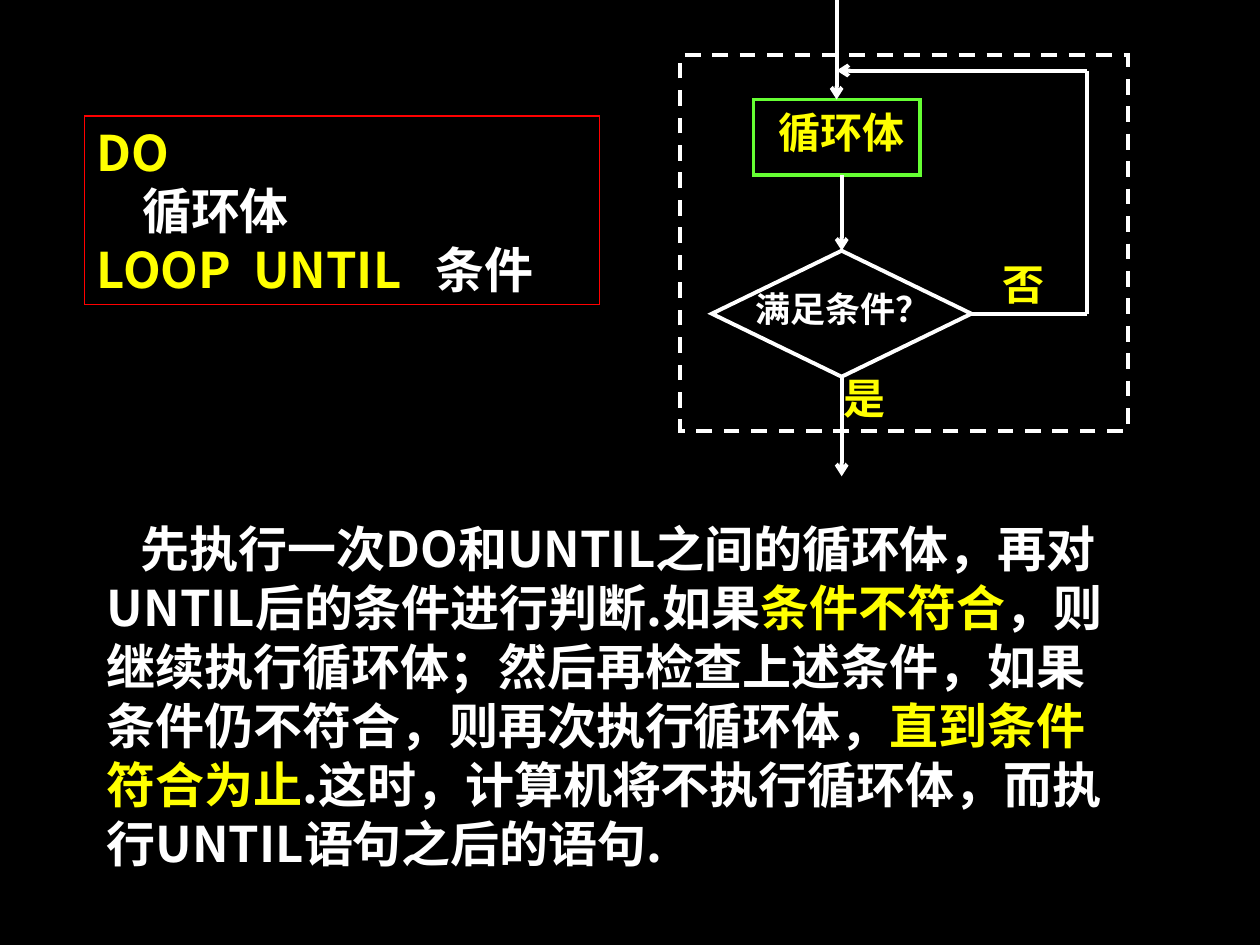
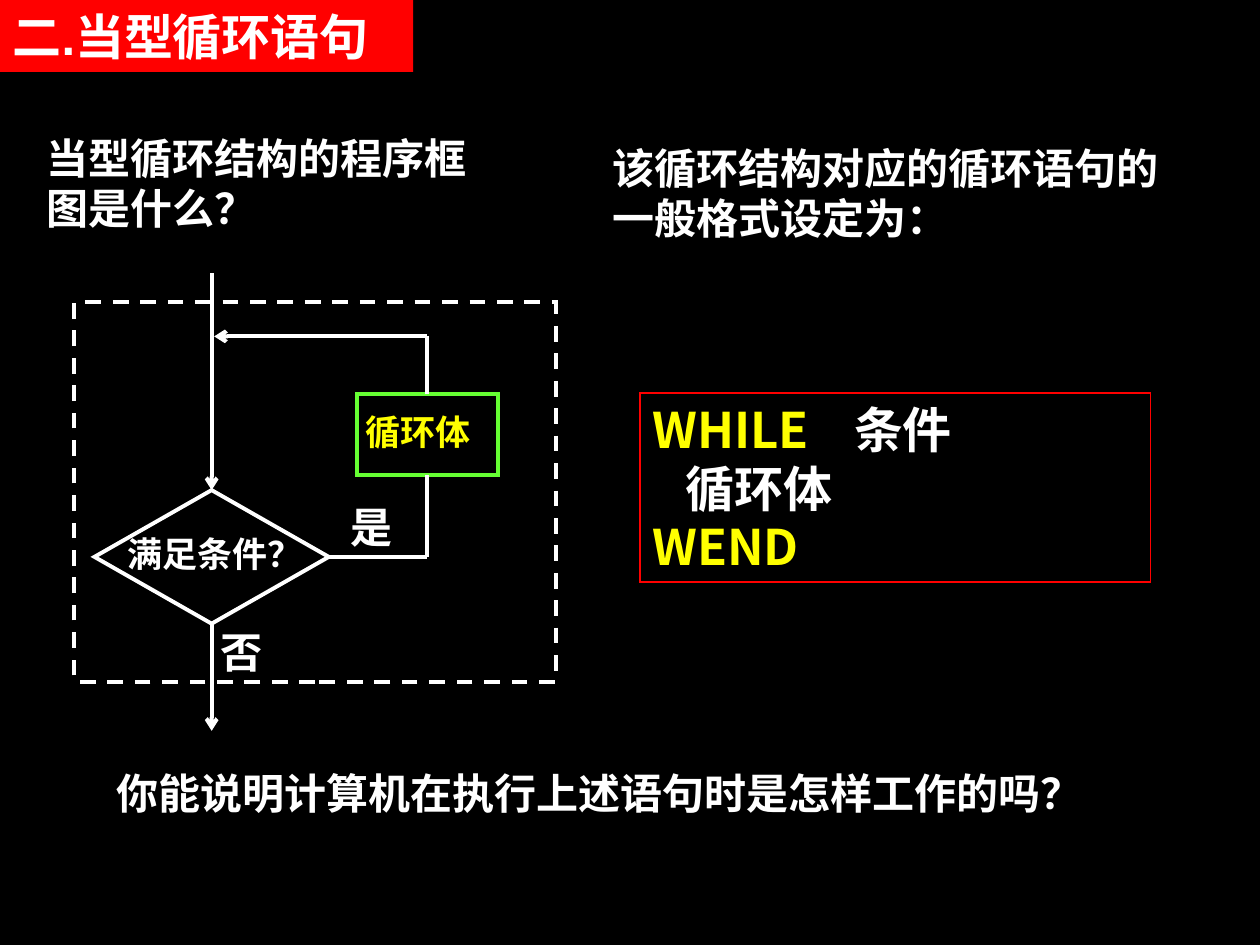
from dataclasses import dataclass

from lxml import etree
from pptx import Presentation
from pptx.dml.color import RGBColor
from pptx.enum.dml import MSO_LINE
from pptx.enum.shapes import MSO_CONNECTOR, MSO_SHAPE
from pptx.enum.text import MSO_ANCHOR, MSO_AUTO_SIZE, PP_ALIGN
from pptx.oxml.ns import qn
from pptx.util import Pt

RECT, DIAMOND = MSO_SHAPE.RECTANGLE, MSO_SHAPE.DIAMOND
STRAIGHT, DASH = MSO_CONNECTOR.STRAIGHT, MSO_LINE.DASH
TOP, NOFIT = MSO_ANCHOR.TOP, MSO_AUTO_SIZE.NONE
LEFT, JUST = PP_ALIGN.LEFT, PP_ALIGN.JUSTIFY
N, S, E = 0, 2, 3  # connection sites
SCALE = 9144  # EMU per px, 100 px to the inch


@dataclass(frozen=True)
class Theme:
    back: str = "000000"
    white: str = "FFFFFF"
    yellow: str = "FFFF00"
    red: str = "FF0000"
    green: str = "66FF33"
    cjk: str = "Noto Sans CJK SC"
    sans: str = "Arial"
    serif: str = "Times New Roman"
    big: int = 28
    mid: int = 24
    small: int = 20
    thin: float = 0.75
    thick: float = 2.25


T = Theme()
Area = tuple[int, int, int, int]
Run = tuple[str, str]  # text, colour


@dataclass(frozen=True)
class Para:
    runs: tuple[Run, ...]
    indent: int = 0
    tabs: tuple[int, ...] = ()


@dataclass(frozen=True)
class Text:
    area: Area
    paras: tuple[Para, ...]
    size: int = T.mid
    face: str = T.cjk
    align: PP_ALIGN = LEFT


@dataclass(frozen=True)
class Node:
    name: str
    area: Area
    color: str = T.white
    kind: MSO_SHAPE = RECT
    width: float = T.thick
    dash: bool = False


@dataclass(frozen=True)
class Wire:
    start: tuple[int, int]
    end: tuple[int, int]
    arrow: bool = False
    tail: tuple[str, int] | None = None  # node and site at the start
    head: tuple[str, int] | None = None  # node and site at the end


def px(n: int) -> int:
    return n * SCALE


def rgb(color: str) -> RGBColor:
    return RGBColor.from_string(color)


def apply(obj, form: dict) -> None:
    for key, value in form.items():
        setattr(obj, key, value)


def line(text: str, color: str = T.white, indent: int = 0) -> Para:
    return Para(((text, color),), indent)


def label(area: Area, text: str, color: str, size: int = T.mid) -> Text:
    return Text(area, (line(text, color),), size, T.serif, JUST)


def write(frame, text: Text) -> None:
    apply(frame, {
        "word_wrap": True, "auto_size": NOFIT, "vertical_anchor": TOP,
        "margin_left": px(10), "margin_right": px(10),
        "margin_top": px(5), "margin_bottom": px(5),
    })
    for i, item in enumerate(text.paras):
        para = frame.add_paragraph() if i else frame.paragraphs[0]
        para.alignment = text.align
        props = para._p.get_or_add_pPr()
        props.set("hangingPunct", "0")  # keep punctuation inside the box
        if item.indent:
            props.set("indent", str(px(item.indent)))
        if item.tabs:
            stops = etree.SubElement(props, qn("a:tabLst"))
            for pos in item.tabs:
                etree.SubElement(stops, qn("a:tab"), pos=str(px(pos)), algn="l")
        for words, color in item.runs:
            run = para.add_run()
            run.text = words
            apply(run.font, {"name": text.face, "size": Pt(text.size), "bold": True})
            run.font.color.rgb = rgb(color)
            etree.SubElement(run._r.get_or_add_rPr(), qn("a:ea"), typeface=T.cjk)


def add_text(slide, text: Text) -> None:
    write(slide.shapes.add_textbox(*map(px, text.area)).text_frame, text)


def add_title(slide, text: Text) -> None:
    title = slide.shapes.title
    apply(title, dict(zip(("left", "top", "width", "height"), map(px, text.area))))
    title.fill.solid()
    title.fill.fore_color.rgb = rgb(T.red)
    write(title.text_frame, text)


def add_node(slide, node: Node):
    shape = slide.shapes.add_shape(node.kind, *map(px, node.area))
    shape.shadow.inherit = False
    shape.fill.background()
    shape.line.color.rgb = rgb(node.color)
    shape.line.width = Pt(node.width)
    if node.dash:
        shape.line.dash_style = DASH
    # Sharp corners
    etree.SubElement(shape.line._get_or_add_ln(), qn("a:miter"), lim="800000")
    return shape


def add_wire(slide, wire: Wire, nodes: dict) -> None:
    link = slide.shapes.add_connector(STRAIGHT, *map(px, wire.start + wire.end))
    link.line.color.rgb = rgb(T.white)
    link.line.width = Pt(T.thick)
    if wire.arrow:
        etree.SubElement(link.line._get_or_add_ln(), qn("a:tailEnd"), type="arrow")
    etree.SubElement(link._element.spPr, qn("a:effectLst"))
    for end, join in ((wire.tail, link.begin_connect), (wire.head, link.end_connect)):
        if end:
            join(nodes[end[0]], end[1])


def add_code(slide, area: Area, paras: tuple[Para, ...]) -> None:
    shape = add_node(slide, Node("code", area, T.red, width=T.thin))
    write(shape.text_frame, Text(area, paras, T.big))


def add_flow(slide, nodes: list[Node], wires: list[Wire], labels: list[Text]) -> None:
    made = {node.name: add_node(slide, node) for node in nodes}
    for wire in wires:
        add_wire(slide, wire, made)
    for text in labels:
        add_text(slide, text)


def until_slide(slide) -> None:
    # Explanation
    add_text(slide, Text((75, 407, 827, 290), (Para((
        ("先执行一次DO和UNTIL之间的循环体，再对UNTIL后的条件进行判断.如果", T.white),
        ("条件不符合", T.yellow),
        ("，则继续执行循环体；然后再检查上述条件，如果条件仍不符合，则再次执行循环体，", T.white),
        ("直到条件符合为止", T.yellow),
        (".这时，计算机将不执行循环体，而执行UNTIL语句之后的语句.", T.white),
    ), indent=27),), T.big))
    # Statement format
    add_code(slide, (67, 92, 409, 150), (
        line("DO", T.yellow),
        line("循环体", indent=36),
        Para((("LOOP\tUNTIL\t", T.yellow), ("条件", T.white)), tabs=(124, 269)),
    ))
    # Flow chart
    add_flow(slide, [
        Node("test", (565, 199, 206, 100), kind=DIAMOND),
        Node("body", (598, 79, 132, 60), T.green),
        Node("frame", (540, 44, 355, 298), dash=True),
    ], [
        Wire((664, 0), (664, 79), True, head=("body", N)),
        Wire((668, 139), (668, 199), True, head=("test", N)),
        Wire((668, 299), (668, 378), True, tail=("test", S)),
        Wire((771, 249), (863, 249), tail=("test", E)),
        Wire((863, 249), (863, 56)),
        Wire((863, 56), (664, 56), True),
    ], [
        label((590, 223, 168, 60), "满足条件？", T.white, T.small),
        label((608, 80, 137, 60), "循环体", T.yellow),
        label((660, 291, 56, 60), "是", T.yellow),
        label((786, 200, 56, 60), "否", T.yellow),
    ])


def while_slide(slide) -> None:
    # Heading and questions
    add_title(slide, Text((0, 0, 328, 57), (line("二.当型循环语句"),), T.big, T.sans))
    add_text(slide, Text((27, 100, 386, 90), (line("当型循环结构的程序框图是什么？"),)))
    add_text(slide, Text((476, 108, 473, 90), (
        line("该循环结构对应的循环语句的"), line("一般格式设定为："))))
    add_text(slide, Text((75, 604, 843, 50), (
        line("你能说明计算机在执行上述语句时是怎样工作的吗？", indent=8),), face=T.sans))
    # Statement format
    add_code(slide, (508, 312, 405, 150), (
        Para((("WHILE\t", T.yellow), ("条件", T.white)), tabs=(160,)),
        line("循环体", indent=26),
        line("WEND", T.yellow),
    ))
    # Flow chart
    add_flow(slide, [
        Node("body", (283, 313, 112, 64), T.green),
        Node("test", (75, 389, 186, 106), kind=DIAMOND),
        Node("frame", (59, 240, 382, 301), dash=True),
    ], [
        Wire((168, 217), (168, 389), True, head=("test", N)),
        Wire((168, 495), (168, 580), True, tail=("test", S)),
        Wire((261, 442), (339, 442), tail=("test", E)),
        Wire((339, 442), (339, 377), head=("body", S)),
        Wire((339, 313), (339, 267), tail=("body", N)),
        Wire((339, 267), (170, 267), True),
    ], [
        label((280, 321, 126, 64), "循环体", T.yellow, T.small),
        label((91, 418, 205, 64), "满足条件？", T.white, T.small),
        label((268, 393, 48, 64), "是", T.white),
        label((165, 492, 48, 64), "否", T.white),
    ])


def main() -> None:
    deck = Presentation()
    deck.slide_width, deck.slide_height = px(1000), px(750)
    fill = deck.slide_master.background.fill
    fill.solid()
    fill.fore_color.rgb = rgb(T.back)
    for layout, draw in ((6, until_slide), (5, while_slide)):
        draw(deck.slides.add_slide(deck.slide_layouts[layout]))
    deck.save("out.pptx")


if __name__ == "__main__":
    main()
